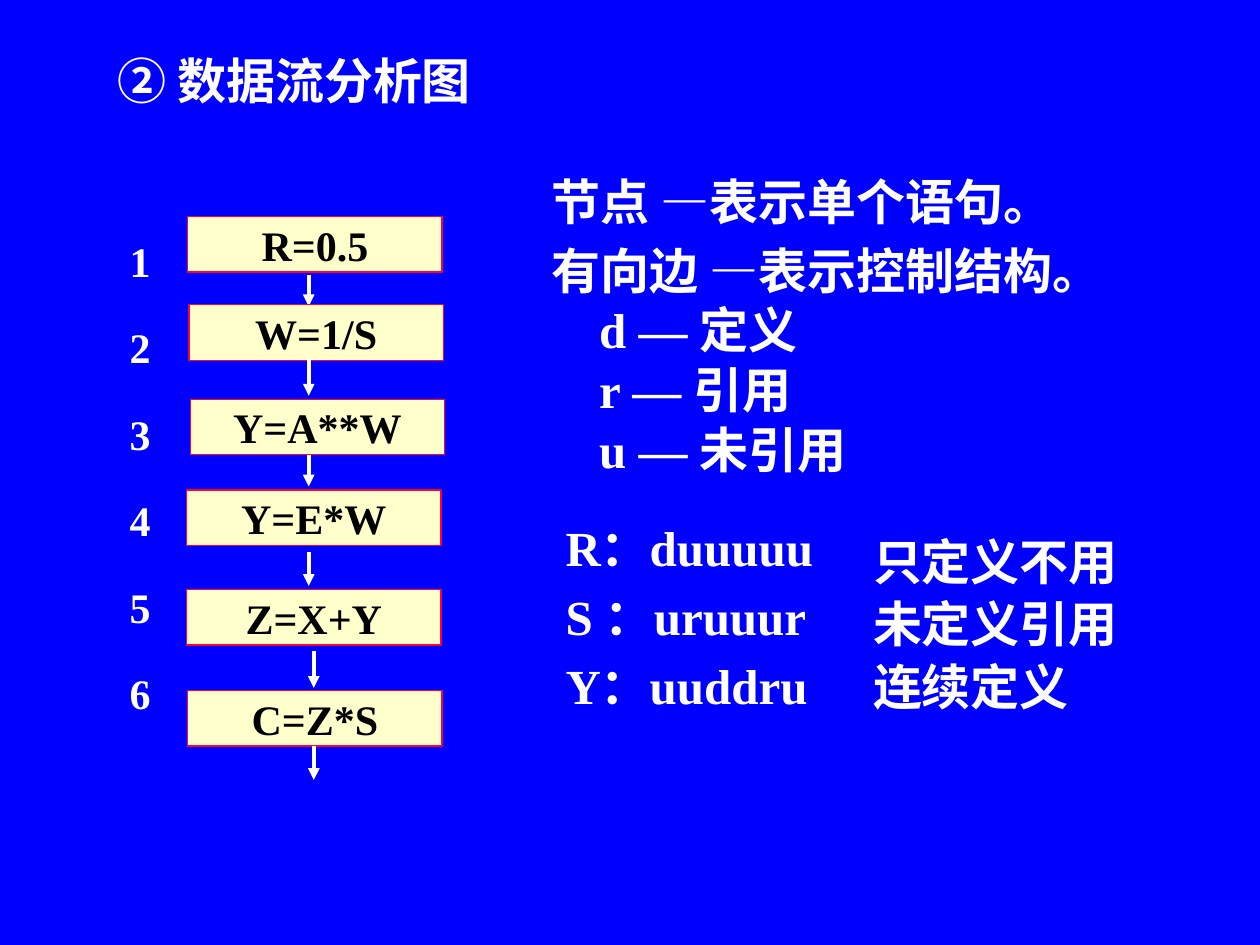
from lxml import etree
from pptx import Presentation
from pptx.dml.color import RGBColor
from pptx.enum.lang import MSO_LANGUAGE_ID
from pptx.enum.shapes import MSO_CONNECTOR, MSO_SHAPE
from pptx.enum.text import MSO_ANCHOR, MSO_AUTO_SIZE, PP_ALIGN
from pptx.oxml.ns import qn
from pptx.util import Pt

LEFT, CENTER = PP_ALIGN.LEFT, PP_ALIGN.CENTER
TOP, MIDDLE = MSO_ANCHOR.TOP, MSO_ANCHOR.MIDDLE
CHINESE = MSO_LANGUAGE_ID.SIMPLIFIED_CHINESE
SERIF, SANS = "Times New Roman", "Noto Sans CJK SC"
BLUE, WHITE, BLACK, CREAM, RED = "0000FF", "FFFFFF", "000000", "FFFFCC", "FF0033"

TITLE = "② 数据流分析图"
LEGEND = [
    ("节点 —表示单个语句。", 1.0),
    ("有向边 —表示控制结构。", 1.0),
    ("\td — 定义", 0.85),
    ("\tr — 引用", 0.85),
    ("\tu — 未引用", 0.85),
]
SEQUENCES = ["R：duuuuu", "S ：uruuur", "Y：uuddru"]
FINDINGS = ["只定义不用", "未定义引用", "连续定义"]
STATEMENTS = [
    ("R=0.5", 107.3, 123.8),
    ("W=1/S", 108, 174.2),
    ("Y=A**W", 108.7, 228.2),
    ("Y=E*W", 106.6, 280.1),
    ("Z=X+Y", 106.6, 337),
    ("C=Z*S", 107.3, 394.6),
]
ARROWS = [
    (176.4, 157, 175),
    (176.4, 205.2, 226.1),
    (176.4, 260, 278),
    (176.4, 315.4, 334.8),
    (179.3, 372.2, 393.1),
    (179.3, 426.2, 445.7),
]
NODE_WIDTH, NODE_HEIGHT = 145.4, 31.7
HANGING = 27


def color(value):
    return RGBColor.from_string(value)


def place(shape, left, top, width, height):
    shape.left, shape.top, shape.width, shape.height = map(Pt, (left, top, width, height))


def write(shape, lines, size=28, name=SERIF, ink=WHITE, align=LEFT, anchor=TOP,
          wrap=True, before=0.2, hanging=0):
    frame = shape.text_frame
    frame.auto_size = MSO_AUTO_SIZE.NONE
    frame.word_wrap = wrap
    frame.vertical_anchor = anchor
    for index, (text, spacing) in enumerate(lines):
        paragraph = frame.paragraphs[0] if index == 0 else frame.add_paragraph()
        properties = paragraph._p.get_or_add_pPr()
        properties.set("marL", str(Pt(hanging)))
        properties.set("indent", str(-Pt(hanging)))
        etree.SubElement(properties, qn("a:buNone"))
        paragraph.alignment = align
        paragraph.line_spacing = spacing
        paragraph.space_before = Pt(size * before if index else 0)
        run = paragraph.add_run()
        run.text = text
        values = {"size": Pt(size), "name": name, "bold": True, "language_id": CHINESE}
        for key, value in values.items():
            setattr(run.font, key, value)
        run.font.color.rgb = color(ink)


def add_text(slide, box, lines, **options):
    shape = slide.shapes.add_textbox(*map(Pt, box))
    write(shape, lines, **options)


def add_node(slide, text, left, top):
    node = slide.shapes.add_shape(
        MSO_SHAPE.RECTANGLE, Pt(left), Pt(top), Pt(NODE_WIDTH), Pt(NODE_HEIGHT))
    node.shadow.inherit = False
    node.fill.solid()
    node.fill.fore_color.rgb = color(CREAM)
    node.line.color.rgb = color(RED)
    node.line.width = Pt(0.75)
    write(node, [(text, 1.0)], size=24, ink=BLACK, align=CENTER, anchor=MIDDLE, wrap=False)


def add_arrow(slide, x, start, end):
    arrow = slide.shapes.add_connector(MSO_CONNECTOR.STRAIGHT, Pt(x), Pt(start), Pt(x), Pt(end))
    arrow.line.color.rgb = color(WHITE)
    arrow.line.width = Pt(2.25)
    etree.SubElement(arrow.line._get_or_add_ln(), qn("a:tailEnd"), type="triangle")
    etree.SubElement(arrow._element.spPr, qn("a:effectLst"))


def main():
    presentation = Presentation()
    presentation.slide_width, presentation.slide_height = Pt(720), Pt(540)
    slide = presentation.slides.add_slide(presentation.slide_layouts[1])
    slide.background.fill.solid()
    slide.background.fill.fore_color.rgb = color(BLUE)

    title, body = slide.placeholders
    place(title, 59.8, 18, 612, 55.4)
    write(title, [(TITLE, 1.0)], name=SANS, anchor=MIDDLE)
    place(body, 308.2, 94.3, 366.5, 214.6)
    write(body, LEGEND, hanging=HANGING)
    add_text(slide, (316.1, 292.3, 170.6, 150.5),
             [(text, 1.0) for text in SEQUENCES], hanging=HANGING)

    for statement, arrow in zip(STATEMENTS, ARROWS):
        add_node(slide, *statement)
        add_arrow(slide, *arrow)

    numbers = [(str(number), 1.3) for number in range(1, len(STATEMENTS) + 1)]
    add_text(slide, (67, 122.4, 26.6, 346.3), numbers, size=24, wrap=False, before=0.5)
    add_text(slide, (491.8, 303.8, 155.5, 111.6),
             [(text, 0.9) for text in FINDINGS], wrap=False)
    presentation.save("out.pptx")


if __name__ == "__main__":
    main()
